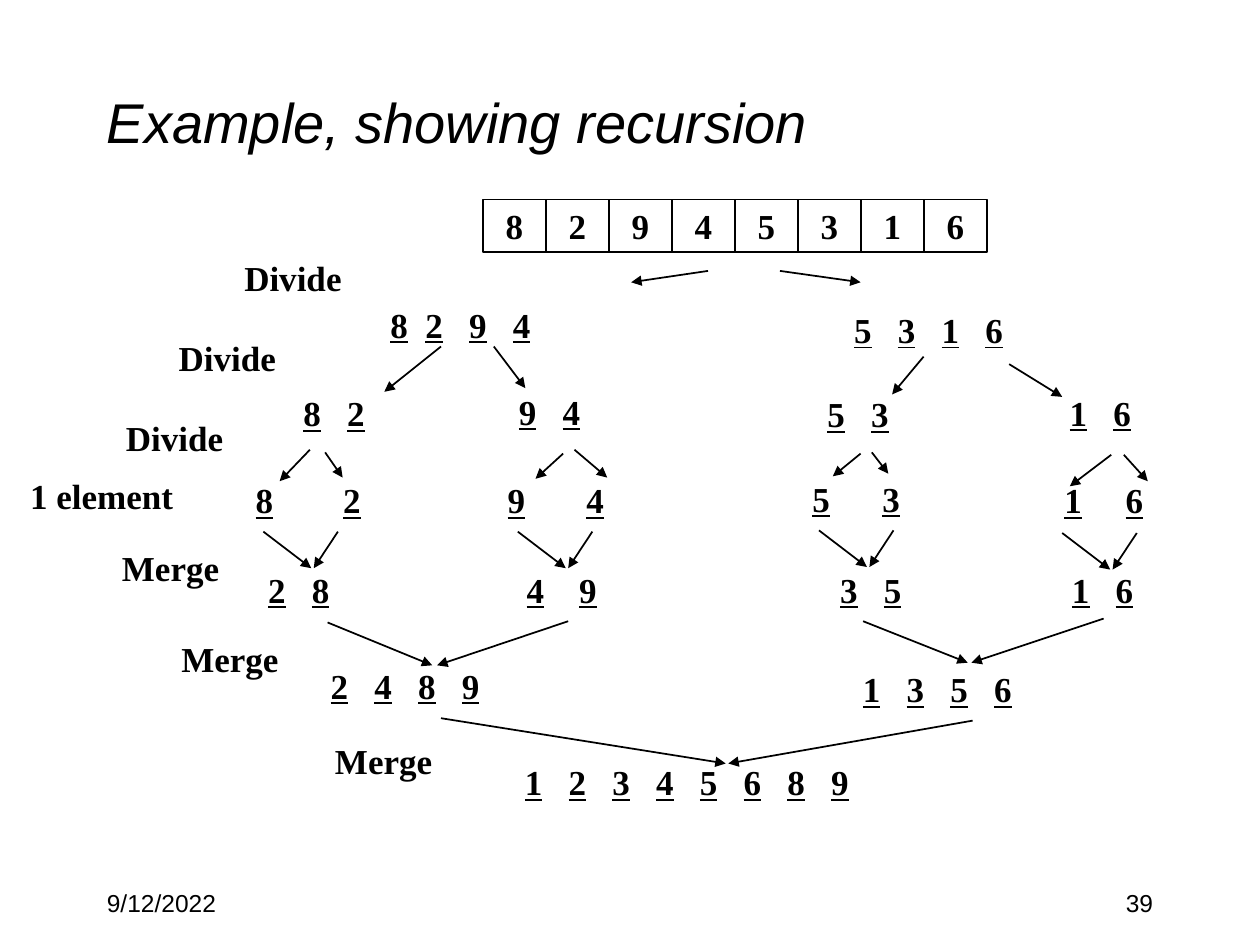
import pptx
import pptx.dml.color
import pptx.enum.shapes
import pptx.enum.text
import pptx.oxml.ns
import pptx.util
from lxml import etree

Pt = pptx.util.Pt
qn = pptx.oxml.ns.qn
ANCHOR = pptx.enum.text.MSO_ANCHOR
ALIGN = pptx.enum.text.PP_ALIGN

COLORS = {"ink": "000000"}
SANS, SERIF = "Arial", "Times New Roman"
INSET, DIGIT, PITCH, ROW_HEIGHT = 7.2, 10, 25, 31.5
INK = pptx.dml.color.RGBColor.from_string(COLORS["ink"])

# Merge arrows below a pair of single elements, relative to the first start
PAIR_ARROWS = [(0, 0, 27.4, 20.9), (42.6, 0, 28.8, 20.9)]
PAIR_STARTS = [(150.5, 3.8), (295.9, 3.8), (468, 3.1), (607, 4.6)]

# Each level: top, labels (text, x, y, width),
# rows (digits, x, y, pitches, width, indent), arrows (x1, y1, x2, y2).
# A width of None fits the digits.
LEVELS = [
    dict(top=140, labels=[("Divide", 132.5, 3.3, 70.6)],
         rows=[("8294", 216, 29.9, [20, 25, 25], None, 0),
               ("5316", 481, 32.8, [PITCH] * 3, None, 0)],
         arrows=[(404.6, 14.8, 360.7, 21.3), (445.7, 14.8, 491.8, 21.3)]),
    dict(top=185, labels=[("Divide", 95, 3.6, 70.6)],
         rows=[("82", 166.3, 35.3, [PITCH], None, 0),
               ("94", 289.4, 34.6, [PITCH], None, 0),
               ("53", 465.8, 36, [PITCH], None, 0),
               ("16", 604.1, 34.9, [PITCH], None, 0)],
         arrows=[(252, 13, 219.6, 38.9), (282.2, 13, 300.2, 36.8),
                 (527.8, 18.8, 509.8, 40.4), (576.7, 23.1, 607, 41.8)]),
    dict(top=230, labels=[("Divide", 64.8, 4.7, 70.6),
                          ("1 element", 10.1, 37.8, 96.5)],
         underline_gaps=False,
         rows=[("82", 139, 40, [50], 82.1, 0),
               ("94", 283, 40, [45], 82.1, 0),
               ("53", 457.2, 39.3, [40], 82.1, 0),
               ("16", 601.2, 40, [35], 82.1, 0)],
         arrows=[(177.1, 27, 159.8, 45), (185.8, 28.5, 195.8, 42.9),
                 (321.8, 29.2, 306, 43.6), (328.3, 27, 347, 42.9),
                 (491.8, 29.2, 475.9, 42.2), (498.2, 28.5, 507.6, 40.7),
                 (635, 29.9, 611.3, 47.9), (642.2, 29.9, 655.9, 45)]),
    dict(top=300, labels=[("Merge", 62.6, 8.9, 70.6)],
         rows=[("28", 131, 21.1, [PITCH], 96.5, 15),
               ("49", 293.8, 21.3, [30], 96.5, 0),
               ("35", 473, 21.3, [PITCH], 96.5, 0),
               ("16", 605.5, 21.3, [PITCH], 96.5, 0)],
         arrows=[(x + x1, y + y1, x + x2, y + y2)
                 for x, y in PAIR_STARTS for x1, y1, x2, y2 in PAIR_ARROWS]),
    dict(top=350, labels=[("Merge", 96.5, 10.9, 70.6)],
         rows=[("2489", 141.8, 25.9, [PITCH] * 3, 187.9, 40),
               ("1356", 455.8, 28, [PITCH] * 3, 187.9, 30)],
         arrows=[(187.2, 5.7, 247, 30.2), (324.7, 5, 249.8, 30.2),
                 (493.2, 5, 553, 28.7), (630.7, 3.5, 555.1, 28.7)]),
    dict(top=405, labels=[("Merge", 184.3, 14, 70.6)],
         rows=[("12345689", 252.7, 26.3, [PITCH] * 7, 241.9, 40)],
         arrows=[(252, 5.4, 414.7, 31.3), (555.8, 6.8, 416.2, 31.3)]),
]


def style(paragraph, size=20, name=SERIF, bold=False, italic=False):
    font = paragraph.font
    font.size, font.name = Pt(size), name
    font.bold, font.italic = bold, italic
    font.color.rgb = INK


def add_text(slide, box, text, wrap=True, align=ALIGN.LEFT,
             anchor=ANCHOR.TOP, **font):
    frame = slide.shapes.add_textbox(*map(Pt, box)).text_frame
    frame.word_wrap = wrap
    frame.vertical_anchor = anchor
    paragraph = frame.paragraphs[0]
    paragraph.text = text
    paragraph.alignment = align
    style(paragraph, **font)


def add_digits(slide, x, y, digits, pitches, width, indent, underline_gaps):
    """Digits spread over tab stops, with underlined or plain gaps."""
    if width is None:
        width = sum(pitches) + DIGIT + 2 * INSET + 1
    frame = slide.shapes.add_textbox(
        Pt(x), Pt(y), Pt(width), Pt(ROW_HEIGHT)).text_frame
    frame.word_wrap = True
    frame.margin_left = Pt(INSET + indent)
    paragraph = frame.paragraphs[0]
    stops = etree.SubElement(paragraph._p.get_or_add_pPr(), qn("a:tabLst"))
    for i in range(len(pitches)):
        etree.SubElement(stops, qn("a:tab"),
                         pos=str(Pt(sum(pitches[:i + 1]))), algn="l")
    style(paragraph, bold=True)
    parts = ["\t".join(digits)] if underline_gaps else "\t".join(digits)
    for part in parts:
        run = paragraph.add_run()
        run.text = part
        run.font.underline = part != "\t"


def add_arrow(slide, *ends):
    arrow = slide.shapes.add_connector(
        pptx.enum.shapes.MSO_CONNECTOR.STRAIGHT, *map(Pt, ends))
    arrow.line.color.rgb = INK
    arrow.line.width = Pt(1)
    etree.SubElement(arrow.line._get_or_add_ln(), qn("a:tailEnd"),
                     type="triangle")
    etree.SubElement(arrow._element.spPr, qn("a:effectLst"))


def draw_array(slide, box, values):
    left, top, width, height = box
    cell_width = width / len(values)
    for i, value in enumerate(values):
        cell = slide.shapes.add_shape(
            pptx.enum.shapes.MSO_SHAPE.RECTANGLE, Pt(left + i * cell_width),
            Pt(top), Pt(cell_width), Pt(height))
        cell.shadow.inherit = False
        cell.fill.background()
        cell.line.color.rgb = INK
        cell.line.width = Pt(0.75)
        frame = cell.text_frame
        frame.word_wrap = False
        frame.vertical_anchor = ANCHOR.MIDDLE
        paragraph = frame.paragraphs[0]
        paragraph.text = value
        paragraph.alignment = ALIGN.CENTER
        style(paragraph, bold=True)


def draw_level(slide, box, level):
    left, top = box[:2]
    for text, x, y, width in level["labels"]:
        add_text(slide, (left + x, top + y, width, ROW_HEIGHT), text,
                 wrap=False, bold=True)
    for digits, x, y, pitches, width, indent in level["rows"]:
        add_digits(slide, left + x, top + y, digits, pitches, width, indent,
                   level.get("underline_gaps", True))
    for x1, y1, x2, y2 in level["arrows"]:
        add_arrow(slide, left + x1, top + y1, left + x2, top + y2)


def draw_footer(slide, box, date, number):
    left, top, width, height = box
    part = 150
    add_text(slide, (left, top, part, height), date, size=14, name=SANS)
    add_text(slide, (left + width - part, top, part, height), number,
             align=ALIGN.RIGHT, size=14, name=SANS)


def main():
    deck = pptx.Presentation()
    deck.slide_width, deck.slide_height = Pt(720), Pt(540)
    slide = deck.slides.add_slide(deck.slide_layouts[6])

    # Title
    add_text(slide, (54, 24, 612, 90), "Example, showing recursion",
             anchor=ANCHOR.MIDDLE, size=32, name=SANS, italic=True)
    # Unsorted array
    draw_array(slide, (276, 114, 288, 30), "82945316")
    # Divide and merge levels
    for level in LEVELS:
        draw_level(slide, (0, level["top"], 720, 70), level)
    # Date and slide number
    draw_footer(slide, (54, 504, 612, 36), "9/12/2022", "39")

    deck.save("out.pptx")


if __name__ == "__main__":
    main()
